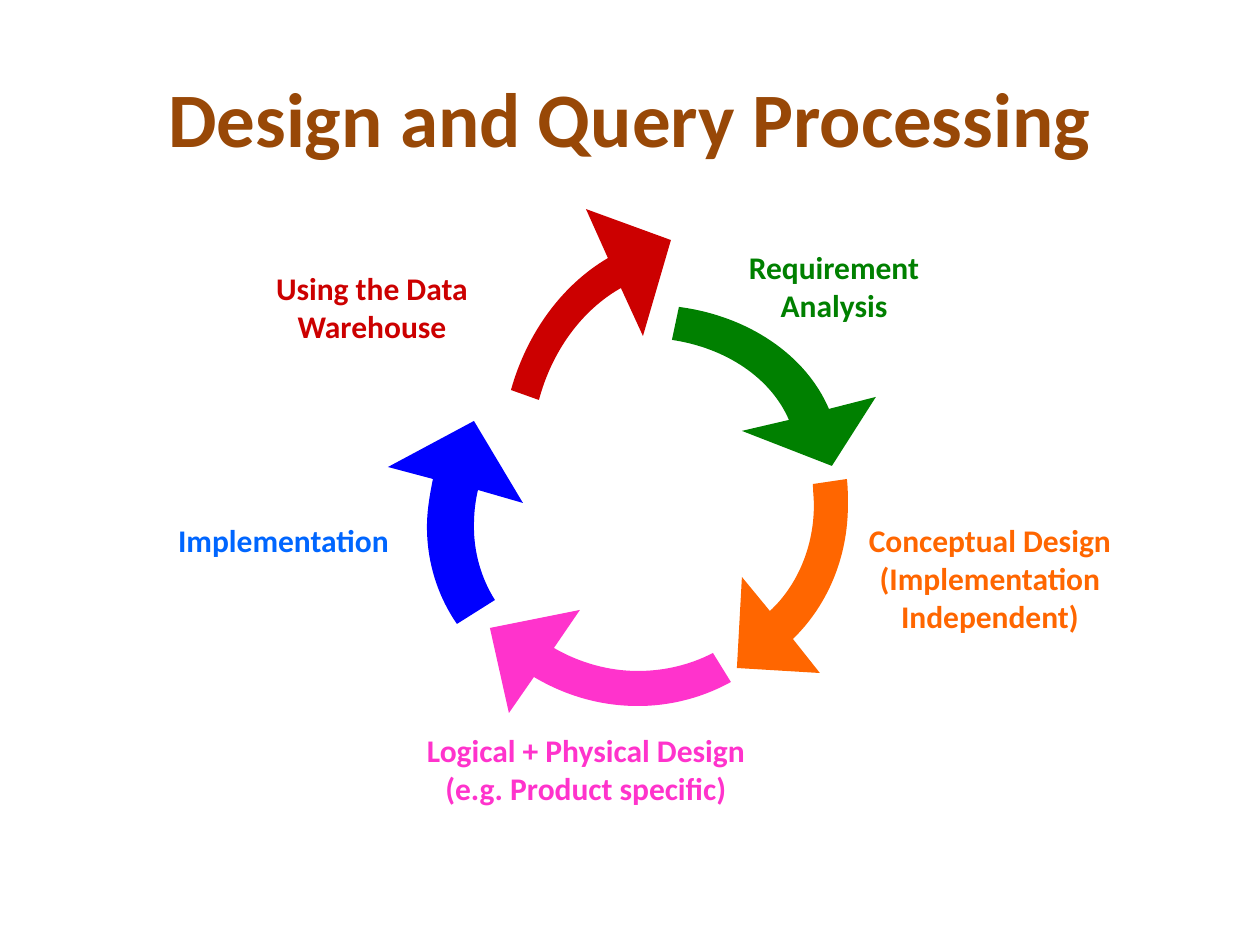
"""Build the data warehouse design cycle slide."""
from dataclasses import dataclass

from pptx import Presentation
from pptx.dml.color import RGBColor
from pptx.enum.text import MSO_ANCHOR, MSO_AUTO_SIZE, PP_ALIGN
from pptx.oxml.xmlchemy import OxmlElement
from pptx.util import Emu, Pt

SCALE = 914400 / 126


@dataclass(frozen=True)
class Theme:
    font: str = "Calibri"
    title_size: int = 44
    label_size: int = 18
    title: str = "984807"
    green: str = "008000"
    orange: str = "FF6600"
    pink: str = "FF33CC"
    blue: str = "0000FF"
    light_blue: str = "0066FF"
    red: str = "CC0000"


def px(length):
    return Emu(round(length * SCALE))


def write(frame, text, size, color, frame_format):
    frame.text = text
    for name, value in frame_format.items():
        setattr(frame, name, value)
    font_format = {"name": theme.font, "size": Pt(size), "bold": True}
    for para in frame.paragraphs:
        para.alignment = PP_ALIGN.CENTER
        for span in para.runs:
            for name, value in font_format.items():
                setattr(span.font, name, value)
            span.font.color.rgb = RGBColor.from_string(color)


theme = Theme()
label_format = {
    "word_wrap": False,
    "auto_size": MSO_AUTO_SIZE.SHAPE_TO_FIT_TEXT,
    "vertical_anchor": MSO_ANCHOR.TOP,
}

deck = Presentation()
deck.slide_width, deck.slide_height = px(1260), px(945)
page = deck.slides.add_slide(deck.slide_layouts[5])

title = page.shapes.title
title_place = {"left": 63, "top": 38, "width": 1134, "height": 158}
for name, value in title_place.items():
    setattr(title, name, px(value))
write(title.text_frame, "Design and Query Processing", theme.title_size, theme.title,
      {"vertical_anchor": MSO_ANCHOR.MIDDLE})

stages = [
    ("Requirement\nAnalysis", (693, 242, 282, 113), theme.green,
     theme.green, (450, 305, 389, 304), (789, 420), [
        [(771, 378), (726, 348), (672, 340)],
        [(679, 307)],
        [(748, 316), (806, 355), (829, 409)],
        [(876, 397)], [(832, 466)], [(742, 431)],
    ]),
    ("Conceptual Design\n(Implementation\nIndependent)", (787, 515, 406, 164), theme.orange,
     theme.orange, (518, 326, 330, 359), (770, 611), [
        [(798, 585), (814, 546), (814, 505)],
        [(814, 498), (813, 491), (813, 484)],
        [(847, 479)],
        [(848, 488), (848, 496), (848, 505)],
        [(848, 557), (828, 605), (793, 639)],
        [(820, 673)], [(737, 668)], [(742, 577)],
    ]),
    ("Using the Data\vWarehouse", (229, 263, 286, 77), theme.red,
     theme.red, (439, 287, 517, 333), (621, 288), [
        [(582, 310), (552, 351), (539, 400)],
        [(511, 390)],
        [(527, 333), (562, 285), (608, 258)],
        [(586, 209)], [(671, 240)], [(643, 336)],
    ]),
    ("Logical + Physical Design\n(e.g. Product specific)", (315, 725, 542, 113), theme.pink,
     theme.pink, (450, 347, 375, 359), (554, 648), [
        [(580, 663), (609, 671), (638, 671)],
        [(664, 671), (690, 665), (713, 653)],
        [(731, 682)],
        [(702, 698), (670, 706), (638, 706)],
        [(601, 706), (566, 696), (534, 677)],
        [(509, 713)], [(490, 628)], [(580, 610)],
    ]),
    ("Implementation", (116, 515, 335, 63), theme.light_blue,
     theme.blue, (427, 347, 375, 359), (478, 490), [
        [(475, 503), (474, 514), (474, 527)],
        [(474, 552), (481, 578), (495, 600)],
        [(457, 624)],
        [(437, 595), (427, 561), (427, 527)],
        [(427, 510), (430, 494), (433, 479)],
        [(388, 467)], [(474, 421)], [(523, 503)],
    ]),
]

for label, place, label_color, arrow_color, ring, start, segments in stages:
    group = page.shapes.add_group_shape()
    builder = group.shapes.build_freeform(*start, scale=SCALE)
    builder.add_line_segments([point for segment in segments for point in segment], close=True)
    arrow = builder.convert_to_shape()
    arrow.shadow.inherit = False
    arrow.fill.solid()
    arrow.fill.fore_color.rgb = RGBColor.from_string(arrow_color)
    arrow.line.fill.background()

    lines = iter(arrow.element.xpath(".//a:lnTo"))
    for segment in segments:
        steps = [next(lines) for point in segment]
        if len(steps) == 3:
            curve = OxmlElement("a:cubicBezTo")
            steps[0].addprevious(curve)
            for step in steps:
                curve.append(step[0])
                step.getparent().remove(step)

    shift_x = round(arrow.left / SCALE) - ring[0]
    shift_y = round(arrow.top / SCALE) - ring[1]
    for point in arrow.element.xpath(".//a:pt"):
        point.set("x", str(int(point.get("x")) + shift_x))
        point.set("y", str(int(point.get("y")) + shift_y))
    outline = arrow.element.xpath(".//a:pathLst/a:path")[0]
    outline.set("w", str(ring[2]))
    outline.set("h", str(ring[3]))
    for name, value in zip(("left", "top", "width", "height"), ring):
        setattr(arrow, name, px(value))

    box = group.shapes.add_textbox(*map(px, place))
    write(box.text_frame, label, theme.label_size, label_color, label_format)

deck.save("out.pptx")
